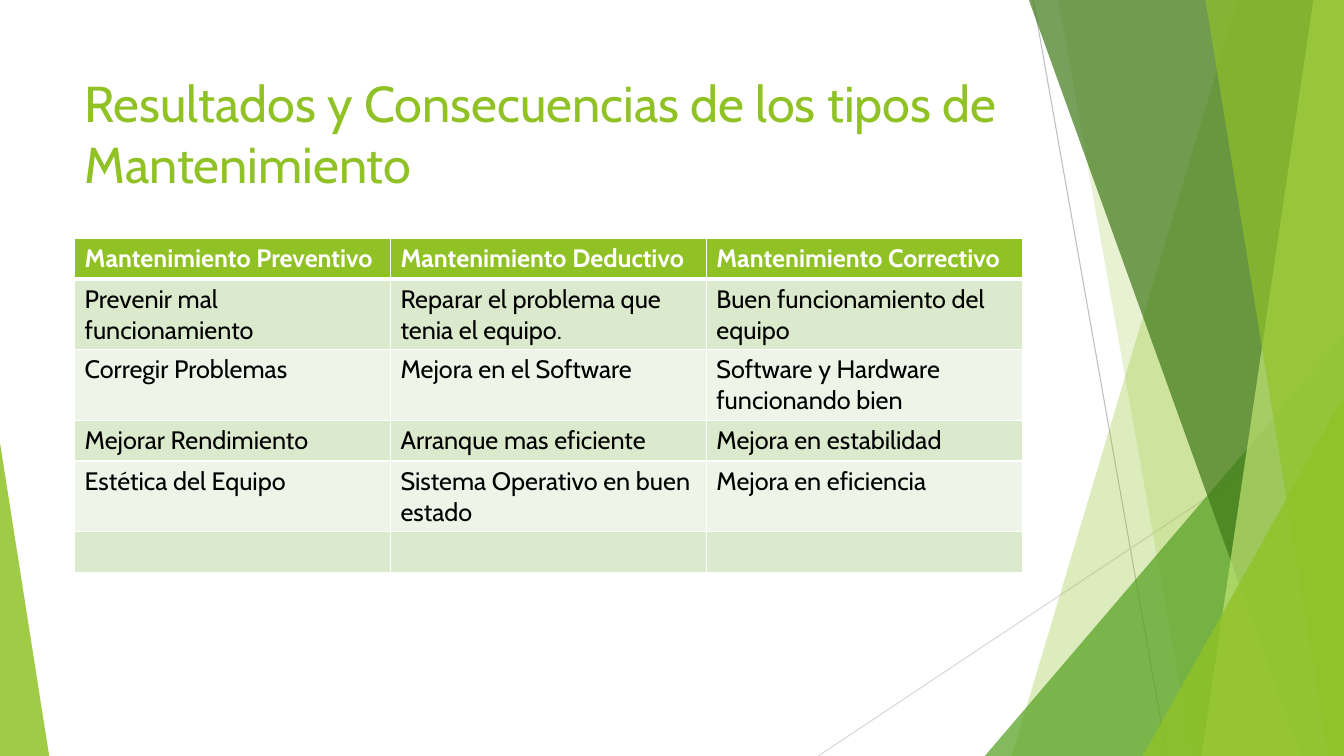
from dataclasses import dataclass

from lxml.etree import SubElement
from pptx import Presentation
from pptx.dml.color import RGBColor
from pptx.enum.shapes import MSO_CONNECTOR, MSO_SHAPE
from pptx.enum.text import MSO_ANCHOR
from pptx.oxml.ns import qn
from pptx.shapes.autoshape import Shape
from pptx.slide import Slide
from pptx.table import _Cell
from pptx.text.text import TextFrame
from pptx.util import Cm, Pt

WIDTH, HEIGHT = 33.87, 19.05
MARGIN, CONTENT_WIDTH = 1.88, 23.88


@dataclass(frozen=True)
class Theme:
    font: str = "Cabin"
    title_size: int = 36
    table_size: int = 18
    lime: str = "90C226"
    green: str = "54A021"
    forest: str = "3F7819"
    pale_lime: str = "C0E474"
    white: str = "FFFFFF"
    black: str = "000000"
    row_tints: tuple[str, str] = ("DBE9CD", "EEF4E8")


@dataclass(frozen=True)
class Ray:
    start: tuple[float, float]
    end: tuple[float, float]
    color: str


@dataclass(frozen=True)
class Band:
    """Full-height area from a slanted left edge to the right side of the slide."""
    top_x: float
    bottom_x: float
    color: str
    opacity: int


@dataclass(frozen=True)
class Wedge:
    """Right triangle standing on the bottom of the slide; apex is 0 (left) or 1 (right)."""
    left: float
    top: float
    width: float
    apex: float
    color: str
    opacity: int


THEME = Theme()

RAYS = [
    Ray((26.04, 0), (29.41, HEIGHT), "BFBFBF"),
    Ray((WIDTH, 10.24), (20.62, HEIGHT), "D9D9D9"),
]

FACETS = [
    Band(31.19, 25.5, THEME.lime, 30),
    Band(26.67, 30.05, THEME.lime, 20),
    Wedge(24.82, 8.46, WIDTH - 24.82, 1, THEME.green, 72),
    Band(25.93, 32.79, THEME.forest, 70),
    Band(33.1, 30.28, THEME.pale_lime, 70),
    Band(30.38, 33.48, THEME.lime, 65),
    Wedge(28.8, 9.98, WIDTH - 28.8, 1, THEME.lime, 80),
    Wedge(0, 11.15, 1.24, 0, THEME.lime, 85),
]

TITLE = "Resultados y Consecuencias de los tipos de Mantenimiento"

MAINTENANCE = [
    ("Mantenimiento Preventivo", "Mantenimiento Deductivo", "Mantenimiento Correctivo"),
    ("Prevenir mal funcionamiento", "Reparar el problema que tenia el equipo.",
     "Buen funcionamiento del equipo"),
    ("Corregir Problemas", "Mejora en el Software", "Software y Hardware funcionando bien"),
    ("Mejorar Rendimiento", "Arranque mas eficiente", "Mejora en estabilidad"),
    ("Estética del Equipo", "Sistema Operativo en buen estado", "Mejora en eficiencia"),
    ("", "", ""),
]


def draw_ray(slide: Slide, ray: Ray) -> None:
    line = slide.shapes.add_connector(
        MSO_CONNECTOR.STRAIGHT, *map(Cm, ray.start), *map(Cm, ray.end))
    line.line.color.rgb = RGBColor.from_string(ray.color)
    line.line.width = Pt(0.75)
    SubElement(line._element.spPr, qn("a:effectLst"))


def band_shape(slide: Slide, band: Band) -> Shape:
    outline = slide.shapes.build_freeform(Cm(band.top_x), 0)
    outline.add_line_segments([
        (Cm(WIDTH), 0), (Cm(WIDTH), Cm(HEIGHT)), (Cm(band.bottom_x), Cm(HEIGHT))])
    return outline.convert_to_shape()


def wedge_shape(slide: Slide, wedge: Wedge) -> Shape:
    triangle = slide.shapes.add_shape(
        MSO_SHAPE.ISOSCELES_TRIANGLE, Cm(wedge.left), Cm(wedge.top),
        Cm(wedge.width), Cm(HEIGHT - wedge.top))
    triangle.adjustments[0] = wedge.apex
    return triangle


def draw_facet(slide: Slide, facet: Band | Wedge) -> None:
    shape = band_shape(slide, facet) if isinstance(facet, Band) else wedge_shape(slide, facet)
    shape.shadow.inherit = False
    shape.line.fill.background()
    shape.fill.solid()
    shape.fill.fore_color.rgb = RGBColor.from_string(facet.color)
    color = shape._element.spPr.find(qn("a:solidFill")).find(qn("a:srgbClr"))
    SubElement(color, qn("a:alpha"), val=str(facet.opacity * 1000))


def style_text(frame: TextFrame, size: int, color: str, bold: bool = False) -> None:
    for paragraph in frame.paragraphs:
        for run in paragraph.runs:
            run.font.name = THEME.font
            run.font.size = Pt(size)
            run.font.bold = bold
            run.font.color.rgb = RGBColor.from_string(color)


def draw_title(slide: Slide) -> None:
    title = slide.shapes.add_textbox(Cm(MARGIN), Cm(1.7), Cm(CONTENT_WIDTH), Cm(3.66))
    title.text_frame.word_wrap = True
    title.text_frame.vertical_anchor = MSO_ANCHOR.TOP
    title.text_frame.text = TITLE
    style_text(title.text_frame, THEME.title_size, THEME.lime)


def add_borders(cell: _Cell, top: int, bottom: int) -> None:
    """Draw white cell borders; call before filling, as the schema puts lines first."""
    properties = cell._tc.get_or_add_tcPr()
    for side, points in {"L": 1, "R": 1, "T": top, "B": bottom}.items():
        border = SubElement(properties, qn(f"a:ln{side}"), w=str(Pt(points)))
        SubElement(SubElement(border, qn("a:solidFill")), qn("a:srgbClr"), val=THEME.white)


def draw_table(slide: Slide) -> None:
    row_count, column_count = len(MAINTENANCE), len(MAINTENANCE[0])
    row_height = 1.03
    table = slide.shapes.add_table(
        row_count, column_count, Cm(MARGIN), Cm(6), Cm(CONTENT_WIDTH),
        Cm(row_height * row_count)).table
    for row, entries in enumerate(MAINTENANCE):
        table.rows[row].height = Cm(row_height)
        header = row == 0
        fill = THEME.lime if header else THEME.row_tints[(row - 1) % 2]
        for column, entry in enumerate(entries):
            cell = table.cell(row, column)
            add_borders(cell, top=3 if row == 1 else 1, bottom=3 if header else 1)
            cell.fill.solid()
            cell.fill.fore_color.rgb = RGBColor.from_string(fill)
            cell.text_frame.text = entry
            style_text(cell.text_frame, THEME.table_size,
                       THEME.white if header else THEME.black, bold=header)


def main() -> None:
    presentation = Presentation()
    presentation.slide_width, presentation.slide_height = Cm(WIDTH), Cm(HEIGHT)
    slide = presentation.slides.add_slide(presentation.slide_layouts[6])
    for ray in RAYS:
        draw_ray(slide, ray)
    for facet in FACETS:
        draw_facet(slide, facet)
    draw_title(slide)
    draw_table(slide)
    presentation.save("out.pptx")


if __name__ == "__main__":
    main()
